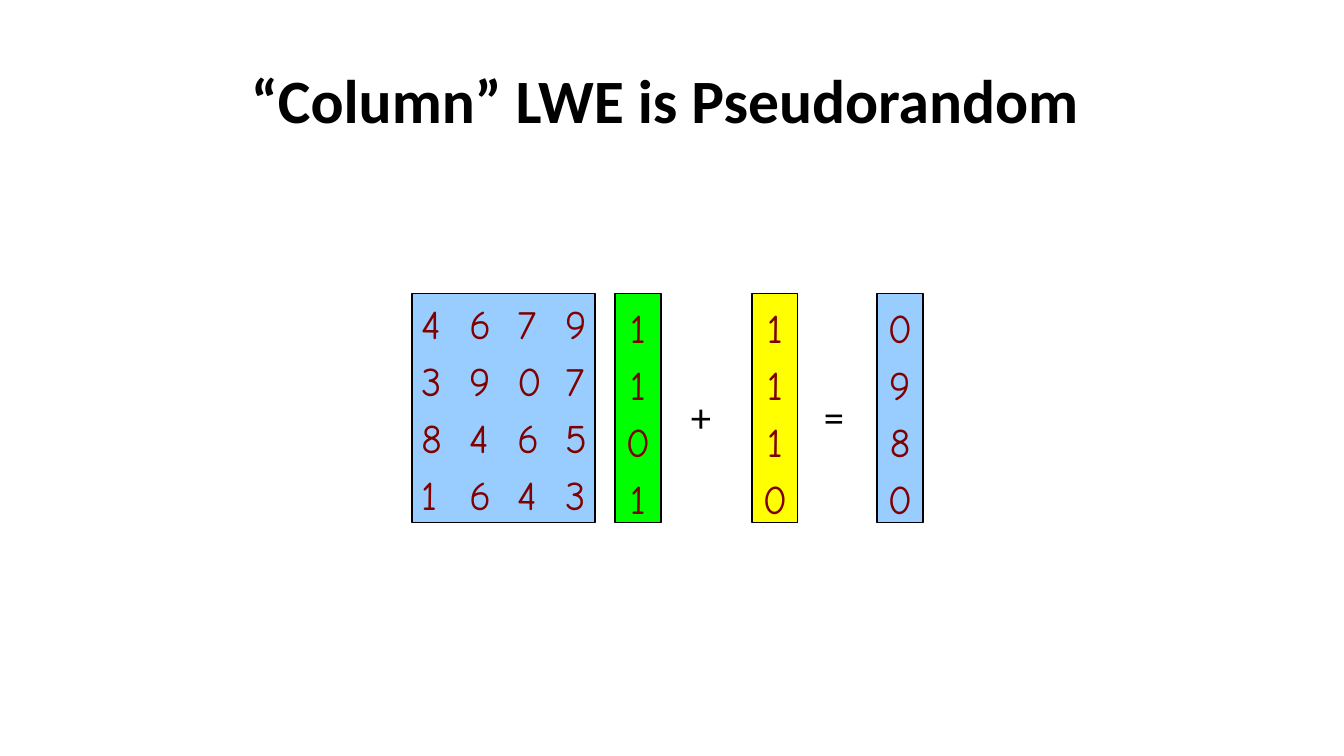
from lxml.etree import SubElement
from pptx import Presentation
from pptx.dml.color import RGBColor
from pptx.enum.shapes import MSO_SHAPE as Shape
from pptx.enum.text import MSO_ANCHOR as Anchor, PP_ALIGN as Align
from pptx.oxml.ns import qn
from pptx.util import Emu, Pt

COLORS = {
    "ink": "000000",
    "digit": "800000",
    "public": "99CCFF",
    "secret": "00FF00",
    "noise": "FFFF00",
}
MATRIX = ["4679", "3907", "8465", "1643"]
VECTORS = [(615, "secret", "1101"), (752, "noise", "1110"), (877, "public", "0980")]
OPERATORS = [(682, "+"), (815, "=")]
TOP, HEIGHT = 294, 229
MATRIX_LEFT, DIGIT_STEP = 412, 48


def px(length):
    return Emu(round(length * 914400 / 100.8))


def color(name):
    return RGBColor.from_string(COLORS[name])


class Slide:
    body_font = "Calibri"
    digit_font = "Comic Neue"
    digit_size = 29
    line_spacing = 1.17

    def __init__(self, deck):
        self.page = deck.slides.add_slide(deck.slide_layouts[6])

    def panel(self, left, width, fill):
        box = self.page.shapes.add_shape(
            Shape.ROUNDED_RECTANGLE, px(left), px(TOP), px(width), px(HEIGHT)
        )
        box.adjustments[0] = 0
        box.shadow.inherit = False
        box.fill.solid()
        box.fill.fore_color.rgb = color(fill)
        box.line.color.rgb = color("ink")
        box.line.width = Pt(0.75)
        return box

    def set_text(self, box, lines, size, font, ink, align=Align.LEFT,
                 anchor=Anchor.TOP, spacing=line_spacing, top_inset=4):
        frame = box.text_frame
        frame.word_wrap = True
        frame.vertical_anchor = anchor
        frame.margin_left = frame.margin_right = px(9)
        frame.margin_top, frame.margin_bottom = px(top_inset), px(4)
        frame.text = "\n".join(lines)
        for para in frame.paragraphs:
            para.alignment = align
            para.line_spacing = spacing
            for span in para.runs:
                span.font.name = font
                span.font.size = Pt(size)
                span.font.color.rgb = color(ink)
        return frame

    def text_box(self, left, top, width, height):
        return self.page.shapes.add_textbox(px(left), px(top), px(width), px(height))

    def title(self, text):
        box = self.text_box(219, 15, 907, 156)
        frame = self.set_text(box, [text], 44, self.body_font, "ink",
                              Align.CENTER, Anchor.MIDDLE)
        frame.paragraphs[0].runs[0].font.bold = True

    def matrix(self, rows):
        self.panel(MATRIX_LEFT, 183, "public")
        box = self.text_box(MATRIX_LEFT, 287, 191, 236)
        frame = self.set_text(box, ["\t".join(row) for row in rows],
                              self.digit_size, self.digit_font, "digit")
        for para in frame.paragraphs:
            stops = SubElement(para._p.get_or_add_pPr(), qn("a:tabLst"))
            for column in range(1, len(rows[0])):
                SubElement(stops, qn("a:tab"), pos=str(px(column * DIGIT_STEP)), algn="l")

    def vector(self, left, fill, digits):
        self.set_text(self.panel(left, 46, fill), digits, self.digit_size,
                      self.digit_font, "digit", Align.CENTER, Anchor.MIDDLE)

    def operator(self, left, symbol):
        self.set_text(self.text_box(left, 385, 45, 54), [symbol], self.digit_size,
                      self.body_font, "ink", spacing=1.0, top_inset=7)


def main():
    deck = Presentation()
    deck.slide_width, deck.slide_height = px(1344), px(756)
    slide = Slide(deck)
    slide.title("“Column” LWE is Pseudorandom ")
    slide.matrix(MATRIX)
    for left, fill, digits in VECTORS:
        slide.vector(left, fill, digits)
    for left, symbol in OPERATORS:
        slide.operator(left, symbol)
    deck.save("out.pptx")


if __name__ == "__main__":
    main()
